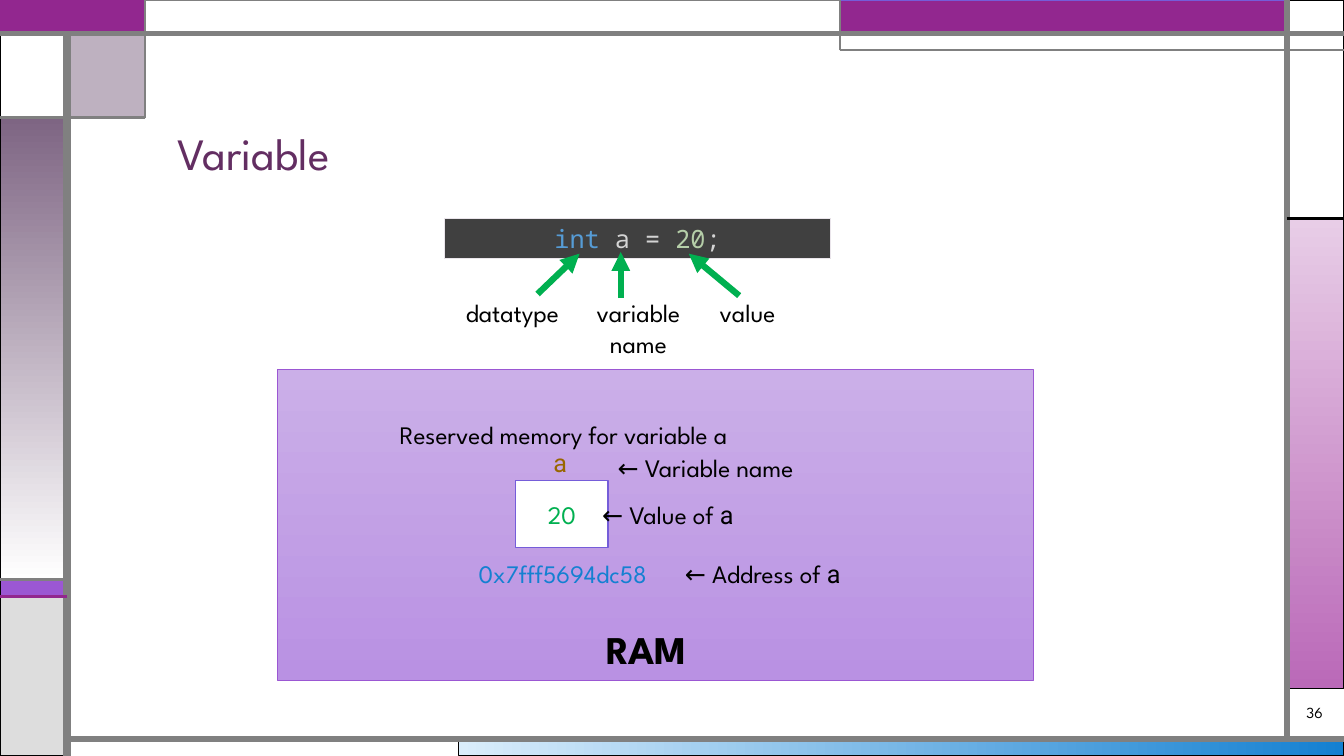
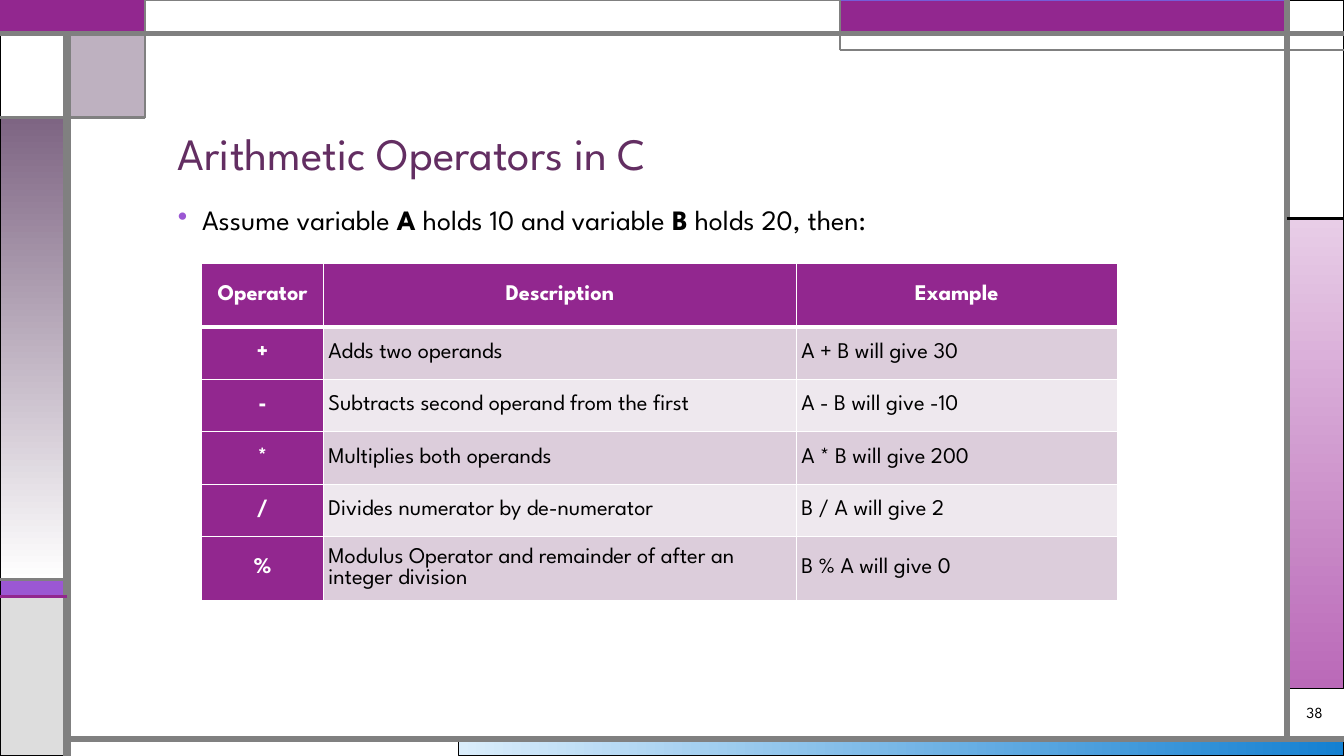
from dataclasses import dataclass

from lxml import etree
from pptx import Presentation
from pptx.dml.color import RGBColor
from pptx.enum.shapes import MSO_CONNECTOR, MSO_SHAPE
from pptx.enum.text import MSO_ANCHOR, PP_ALIGN
from pptx.oxml.ns import qn
from pptx.util import Inches, Pt

RECTANGLE = MSO_SHAPE.RECTANGLE
STRAIGHT = MSO_CONNECTOR.STRAIGHT
TOP, MIDDLE, BOTTOM = MSO_ANCHOR.TOP, MSO_ANCHOR.MIDDLE, MSO_ANCHOR.BOTTOM
LEFT, CENTER = PP_ALIGN.LEFT, PP_ALIGN.CENTER

WHITE = RGBColor(0xFF, 0xFF, 0xFF)
BLACK = RGBColor(0x00, 0x00, 0x00)
GRAY = RGBColor(0x80, 0x80, 0x80)
LIGHT_GRAY = RGBColor(0xDD, 0xDD, 0xDD)
MAGENTA = RGBColor(0x92, 0x27, 0x8F)
VIOLET = RGBColor(0x9B, 0x57, 0xD3)
INDIGO = RGBColor(0x75, 0x5D, 0xD9)
MAUVE = RGBColor(0x7E, 0x65, 0x83)
PLUM = RGBColor(0x63, 0x2E, 0x62)
PINK_LIGHT = RGBColor(0xE8, 0xCD, 0xE7)
PINK_DARK = RGBColor(0xBA, 0x69, 0xB8)
BLUE_LIGHT = RGBColor(0xDA, 0xED, 0xFB)
BLUE = RGBColor(0x14, 0x80, 0xD1)
MEMORY_LIGHT = RGBColor(0xCB, 0xAF, 0xE8)
MEMORY_DARK = RGBColor(0xB9, 0x91, 0xE3)
GREEN = RGBColor(0x00, 0xB0, 0x50)
BROWN = RGBColor(0x99, 0x66, 0x00)
CODE_BACKGROUND = RGBColor(0x40, 0x40, 0x40)
CODE_BORDER = RGBColor(0xEA, 0xE5, 0xEB)
CODE_KEYWORD = RGBColor(0x56, 0x9C, 0xD6)
CODE_TEXT = RGBColor(0xD4, 0xD4, 0xD4)
CODE_NUMBER = RGBColor(0xB5, 0xCE, 0xA8)
ROW_COLORS = (RGBColor(0xDC, 0xCD, 0xDB), RGBColor(0xEE, 0xE8, 0xEE))

BODY_FONT = "League Spartan"
CODE_FONT = "Noto Sans Mono"
LETTER_FONT = "Roboto"

COLUMNS, ROWS = 160, 90  # twelve grid units to the inch


def grid(units):
    return Inches(units / 12)


@dataclass
class Box:
    """An area of the slide in grid units."""
    left: float
    top: float
    width: float
    height: float

    def area(self, left, top, width, height):
        return Box(self.left + left, self.top + top, width, height)

    def point(self, across, down):
        return self.left + across, self.top + down

    def lengths(self):
        return [grid(n) for n in (self.left, self.top, self.width, self.height)]


PAGE = Box(0, 0, COLUMNS, ROWS)


def add_rectangle(slide, box, fill, line, width=0.75, angle=90):
    """Draw a rectangle; a pair of colours makes a gradient, turned clockwise."""
    shape = slide.shapes.add_shape(RECTANGLE, *box.lengths())
    shape.shadow.inherit = False
    if isinstance(fill, RGBColor):
        shape.fill.solid()
        shape.fill.fore_color.rgb = fill
    else:
        shape.fill.gradient()
        shape.fill.gradient_angle = (360 - angle) % 360
        for stop, color in zip(shape.fill.gradient_stops, fill):
            stop.color.rgb = color
    shape.line.color.rgb = line
    shape.line.width = Pt(width)
    return shape


def add_line(slide, start, end, color, width, arrow=False):
    line = slide.shapes.add_connector(
        STRAIGHT, *[grid(n) for n in (*start, *end)])
    line.line.color.rgb = color
    line.line.width = Pt(width)
    properties = line._element.spPr
    etree.SubElement(properties, qn("a:effectLst"))
    if arrow:
        outline = properties.find(qn("a:ln"))
        etree.SubElement(outline, qn("a:tailEnd"), type="triangle")


def write(text_frame, runs, size=18, color=BLACK, align=CENTER, anchor=MIDDLE):
    """Fill the frame with one paragraph of (text, font settings) runs."""
    text_frame.word_wrap = True
    text_frame.vertical_anchor = anchor
    paragraph = text_frame.paragraphs[0]
    paragraph.alignment = align
    for text, settings in runs:
        run = paragraph.add_run()
        run.text = text
        run.font.size = Pt(size)
        run.font.name = settings.get("font", BODY_FONT)
        run.font.bold = settings.get("bold", False)
        run.font.color.rgb = settings.get("color", color)
    return paragraph


def add_text(slide, box, *runs, **style):
    """Add a text box; a run is a string or a (text, font settings) pair."""
    runs = [(run, {}) if isinstance(run, str) else run for run in runs]
    frame = slide.shapes.add_textbox(*box.lengths()).text_frame
    return write(frame, runs, **style)


def add_frame(slide, box):
    """Draw the coloured bands and rules around the slide's edge."""
    side, band, tab = 8, 4, 17.3
    right, bottom = 153.2, 88
    edge = box.width - right
    bands = [
        ((54.6, bottom, 105.4, 2), (BLUE_LIGHT, BLUE), BLACK, 0.75, 0),
        ((right, 26, edge, 56), (PINK_LIGHT, PINK_DARK), BLACK),
        ((0, 69, side, 2), VIOLET, BLACK),
        ((0, 71, side, 19), LIGHT_GRAY, BLACK),
        ((right, 0, edge, 26), WHITE, BLACK),
        ((100, 0, right - 100, band), MAGENTA, INDIGO),
        ((0, 14, side, 55), (MAUVE, WHITE), BLACK),
        ((0, band, side, 10), WHITE, BLACK),
        ((0, 0, tab, band), MAGENTA, MAGENTA, 1.5),
        ((tab, 0, 100 - tab, band), WHITE, GRAY),
    ]
    for place, *style in bands:
        add_rectangle(slide, box.area(*place), *style)
    square = add_rectangle(
        slide, box.area(side, band, tab - side, 10), MAUVE, BLACK)
    color = square._element.spPr.find(qn("a:solidFill"))[0]
    etree.SubElement(color, qn("a:alpha"), val="50000")

    rules = [
        ((side, box.height), (side, band), GRAY, 6),
        ((side, bottom), (box.width, bottom), GRAY, 4.5),
        ((right, bottom), (right, 0), GRAY, 4.5),
        ((0, band), (box.width, band), GRAY, 3),
        ((box.width, 6), (100, 6), GRAY, 1.5),
        ((100, 6), (100, 0), GRAY, 1.5),
        ((right, 26), (box.width, 26), BLACK, 2.25),
        ((tab, 0), (tab, 14), GRAY, 1.5),
        ((tab, 14), (0, 14), GRAY, 2.25),
        ((side, 69), (0, 69), GRAY, 2.25),
        ((side, 71), (0, 71), MAGENTA, 2.25),
    ]
    for start, end, color, width in rules:
        add_line(slide, box.point(*start), box.point(*end), color, width)


def add_base_slide(presentation, title, number):
    slide = presentation.slides.add_slide(presentation.slide_layouts[6])
    add_frame(slide, PAGE)
    heading = add_text(slide, PAGE.area(20, 7, 126, 15), title, size=32,
                       color=PLUM, align=LEFT, anchor=BOTTOM)
    heading.line_spacing = 0.9
    add_text(slide, PAGE.area(153, 83, 7, 3.6), str(number), size=11)
    return slide


def add_declaration(slide, box):
    """Show a line of code with an arrow and a label for each of its terms."""
    code = add_rectangle(slide, box.area(0.9, 0, 46, 4.8),
                         CODE_BACKGROUND, CODE_BORDER)
    write(code.text_frame, [
        (text, {"font": CODE_FONT, "color": color}) for text, color in (
            ("int", CODE_KEYWORD), (" a = ", CODE_TEXT),
            ("20", CODE_NUMBER), (";", CODE_TEXT))])
    labels = [
        ("datatype", 0, 4.8, (12, 9), (17, 4.2)),
        ("variable name", 15, 8.5, (21.9, 9.5), (21.9, 4)),
        ("value", 28, 4.8, (36, 9.2), (30, 4.2)),
    ]
    for text, left, height, start, end in labels:
        add_line(slide, box.point(*start), box.point(*end), GREEN, 4.5, True)
        add_text(slide, box.area(left, 8.8, 18, height), text)


def add_memory(slide, box):
    """Draw the RAM panel with the variable's cell, name and address."""
    add_rectangle(slide, box, (MEMORY_LIGHT, MEMORY_DARK), VIOLET, 0.5)
    add_text(slide, box.area(29, 29.8, 30, 6.8), ("RAM", {"bold": True}),
             size=28)
    cell = add_rectangle(slide, box.area(28.4, 13.2, 11, 8), WHITE, INDIGO, 1)
    write(cell.text_frame, [("20", {"color": GREEN})])
    letter = ("a", {"font": LETTER_FONT})
    notes = [
        (20.5, 21.9, 27, [("0x7fff5694dc58", {"color": BLUE})]),
        (44.3, 21.9, 27, ["← Address of ", letter]),
        (33, 14.9, 27, ["← Value of ", letter]),
        (6.4, 5.3, 55.4, ["Reserved memory for variable a"]),
        (36, 9.2, 30, ["← Variable name"]),
        (28.9, 8.7, 9.6, [("a", {"font": LETTER_FONT, "color": BROWN})]),
    ]
    for left, top, width, runs in notes:
        add_text(slide, box.area(left, top, width, 4.8), *runs)


def add_bullet(slide, box, *runs):
    paragraph = add_text(slide, box, *runs, size=20, align=LEFT, anchor=TOP)
    paragraph.line_spacing = 0.9
    properties = paragraph._p.get_or_add_pPr()
    properties.set("marL", str(Inches(0.24)))
    properties.set("indent", str(-Inches(0.24)))
    color = etree.SubElement(properties, qn("a:buClr"))
    etree.SubElement(color, qn("a:srgbClr"), val=str(VIOLET))
    etree.SubElement(properties, qn("a:buChar"), char="•")


def set_borders(cell, top, bottom):
    """Give the cell white borders; side borders are one point wide."""
    properties = cell._tc.get_or_add_tcPr()
    widths = (("a:lnL", 1), ("a:lnR", 1), ("a:lnT", top), ("a:lnB", bottom))
    for position, (tag, width) in enumerate(widths):
        border = etree.Element(qn(tag), w=str(Pt(width)))
        fill = etree.SubElement(border, qn("a:solidFill"))
        etree.SubElement(fill, qn("a:srgbClr"), val=str(WHITE))
        properties.insert(position, border)


def add_operator_table(slide, box, rows):
    column_widths = (14.5, 56.3, 38.2)
    row_heights = [7.5] + [6.25] * (len(rows) - 2) + [7.5]
    table = slide.shapes.add_table(
        len(rows), len(column_widths), *box.lengths()).table
    for column, width in zip(table.columns, column_widths):
        column.width = grid(width)
    for row_index, (values, height) in enumerate(zip(rows, row_heights)):
        table.rows[row_index].height = grid(height)
        for column_index, value in enumerate(values):
            cell = table.cell(row_index, column_index)
            heading = row_index == 0 or column_index == 0
            cell.margin_left = cell.margin_right = Inches(0.05)
            cell.fill.solid()
            cell.fill.fore_color.rgb = (
                MAGENTA if heading else ROW_COLORS[(row_index - 1) % 2])
            write(cell.text_frame, [(value, {"bold": heading})], size=16,
                  color=WHITE if heading else BLACK,
                  align=CENTER if heading else LEFT)
            cell.vertical_anchor = MIDDLE
            set_borders(cell, top=3 if row_index == 1 else 1,
                        bottom=3 if row_index == 0 else 1)


def build_variable_slide(presentation):
    slide = add_base_slide(presentation, "Variable", 36)
    add_declaration(slide, PAGE.area(52, 26, 47, 17.3))
    add_memory(slide, PAGE.area(33, 44, 90, 37))


def build_operators_slide(presentation):
    slide = add_base_slide(presentation, "Arithmetic Operators in C", 38)
    add_bullet(slide, PAGE.area(20, 24, 126, 55),
               "Assume variable ", ("A", {"bold": True}),
               " holds 10 and variable ", ("B", {"bold": True}),
               " holds 20, then:")
    add_operator_table(slide, PAGE.area(24, 31.4, 109, 40), [
        ("Operator", "Description", "Example"),
        ("+", "Adds two operands", "A + B will give 30"),
        ("-", "Subtracts second operand from the first",
         "A - B will give -10"),
        ("*", "Multiplies both operands", "A * B will give 200"),
        ("/", "Divides numerator by de-numerator", "B / A will give 2"),
        ("%", "Modulus Operator and remainder of after an integer division",
         "B % A will give 0"),
    ])


def main():
    presentation = Presentation()
    presentation.slide_width = grid(COLUMNS)
    presentation.slide_height = grid(ROWS)
    build_variable_slide(presentation)
    build_operators_slide(presentation)
    presentation.save("out.pptx")


if __name__ == "__main__":
    main()
